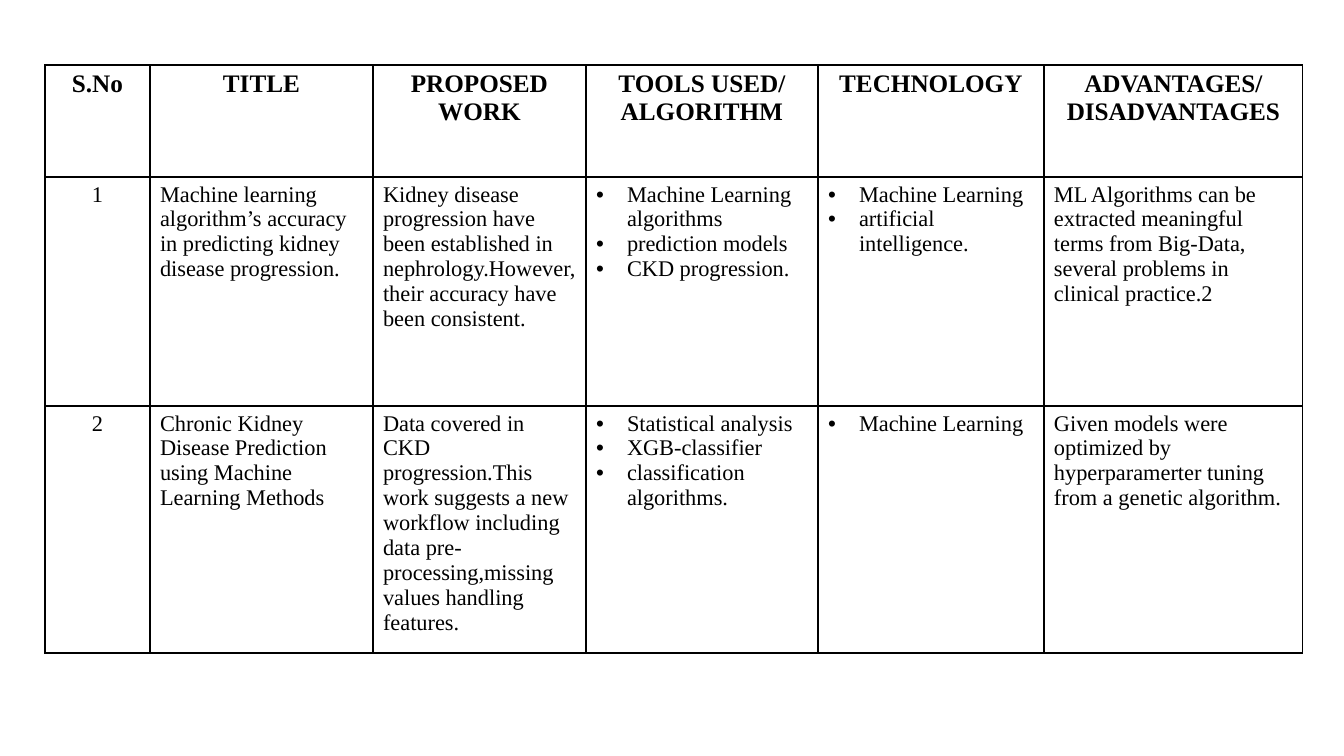
import pptx
import pptx.dml.color
import pptx.enum.text
import pptx.oxml
import pptx.oxml.ns
import pptx.util

COLOURS = {"paper": "FFFFFF", "ink": "000000"}
FONT = "Times New Roman"
PIXEL = 914400 / 100.8
COLUMNS = [105, 223, 213, 232, 226, 259]
ROWS = [112, 229, 247]
INDENT = 31
BULLET_COLUMNS = (3, 4)

HEADINGS = [
    ["S.No"],
    ["TITLE"],
    ["PROPOSED WORK"],
    ["TOOLS USED/", "ALGORITHM"],
    ["TECHNOLOGY"],
    ["ADVANTAGES/ DISADVANTAGES"],
]
STUDIES = [
    [
        ["1"],
        ["Machine learning algorithm’s accuracy in predicting kidney disease progression."],
        ["Kidney disease progression have been established in "
         "nephrology.However,their accuracy have been consistent."],
        ["Machine Learning algorithms", "prediction models", "CKD progression."],
        ["Machine Learning", "artificial intelligence."],
        ["ML Algorithms can be extracted meaningful terms from Big-Data, "
         "several problems in clinical practice.2"],
    ],
    [
        ["2"],
        ["Chronic Kidney Disease Prediction using Machine Learning Methods"],
        ["Data covered in CKD progression.This work suggests a new workflow "
         "including data pre-processing,missing values handling features."],
        ["Statistical analysis", "XGB-classifier", "classification algorithms."],
        ["Machine Learning"],
        ["Given models were optimized by hyperparamerter tuning from a genetic algorithm."],
    ],
]


def emu(pixels):
    return pptx.util.Emu(round(pixels * PIXEL))


def colour(name):
    return pptx.dml.color.RGBColor.from_string(COLOURS[name])


def xml(tag, content="", **attributes):
    listed = "".join(f' {key}="{value}"' for key, value in attributes.items())
    space = pptx.oxml.ns.nsdecls("a")
    return pptx.oxml.parse_xml(f"<a:{tag} {space}{listed}>{content}</a:{tag}>")


def write(frame, lines, size=16, bold=False, centred=False, bullets=False):
    frame.word_wrap = True
    for index, line in enumerate(lines):
        para = frame.add_paragraph() if index else frame.paragraphs[0]
        align = pptx.enum.text.PP_ALIGN
        para.alignment = align.CENTER if centred else align.LEFT
        span = para.add_run()
        span.text = line
        span.font.name = FONT
        span.font.size = pptx.util.Pt(size)
        span.font.bold = bold
        span.font.color.rgb = colour("ink")
        if bullets:
            properties = para._p.get_or_add_pPr()
            properties.set("marL", str(emu(INDENT)))
            properties.set("indent", str(-emu(INDENT)))
            properties.append(xml("buFont", typeface="Arial"))
            properties.append(xml("buChar", char="•"))


def style_cell(cell):
    cell.fill.solid()
    cell.fill.fore_color.rgb = colour("paper")
    properties = cell._tc.get_or_add_tcPr()
    line = f'<a:solidFill><a:srgbClr val="{COLOURS["ink"]}"/></a:solidFill>'
    for index, side in enumerate(("lnL", "lnR", "lnT", "lnB")):
        properties.insert(index, xml(side, line, w=pptx.util.Pt(1)))


def add_study_table(page, left, top, columns, rows):
    frame = page.shapes.add_table(
        len(rows), len(columns), emu(left), emu(top), emu(sum(columns)), emu(sum(rows)))
    table = frame.table
    table.horz_banding = False
    for column, width in zip(table.columns, columns):
        column.width = emu(width)
    for row, height in zip(table.rows, rows):
        row.height = emu(height)
    for row, entries in enumerate([HEADINGS] + STUDIES):
        heading = row == 0
        for column, lines in enumerate(entries):
            cell = table.cell(row, column)
            style_cell(cell)
            write(cell.text_frame, lines, size=18 if heading else 16, bold=heading,
                  centred=heading or column == 0,
                  bullets=not heading and column in BULLET_COLUMNS)


deck = pptx.Presentation()
deck.slide_width = emu(1344)
deck.slide_height = emu(756)
page = deck.slides.add_slide(deck.slide_layouts[6])
page.background.fill.solid()
page.background.fill.fore_color.rgb = colour("paper")
add_study_table(page, 45, 65, COLUMNS, ROWS)
deck.save("out.pptx")
